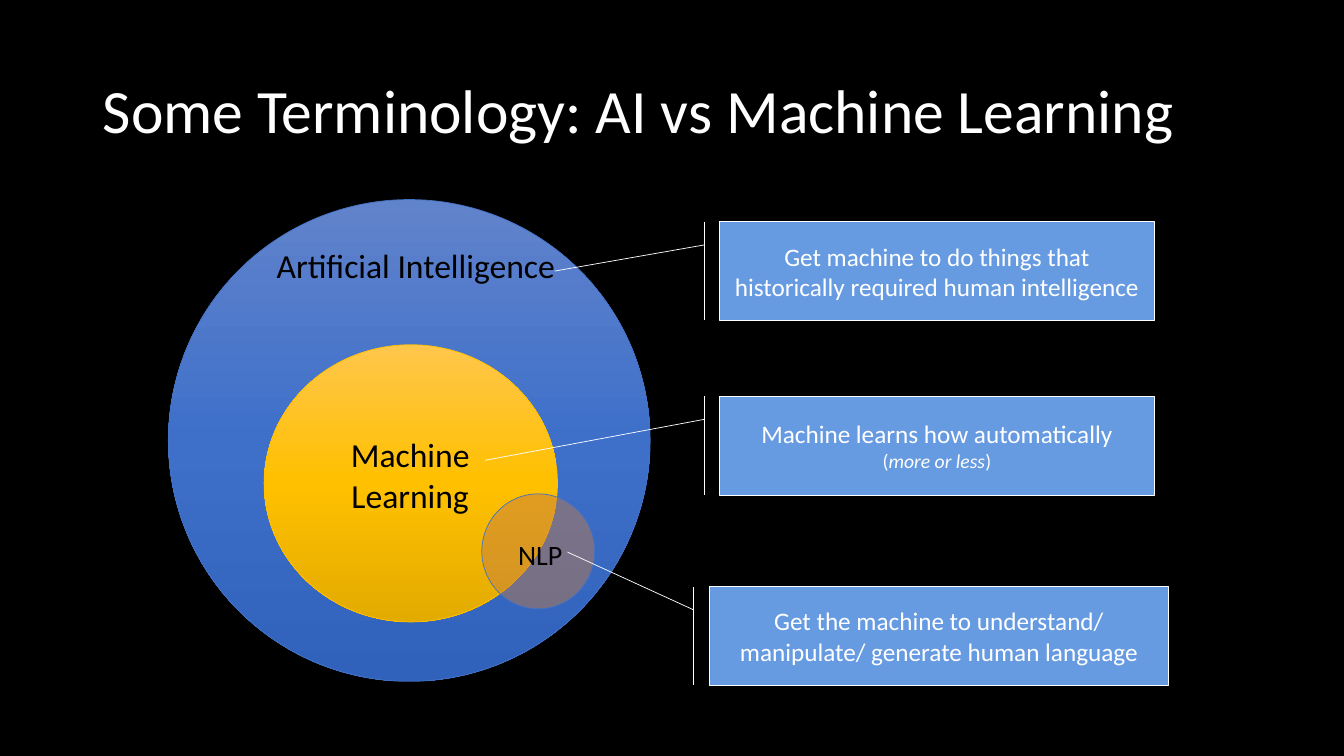
import copy
from dataclasses import dataclass

import pptx
import pptx.dml.color
import pptx.enum.shapes
import pptx.enum.text
import pptx.oxml.ns
import pptx.util
from pptx.enum.shapes import MSO_SHAPE
from pptx.enum.text import MSO_ANCHOR, MSO_AUTO_SIZE, PP_ALIGN

SLIDE_WIDTH = pptx.util.Inches(13.33)
SLIDE_HEIGHT = pptx.util.Inches(7.5)
FONT = "Calibri"
BLACK, WHITE, BLUE, GOLD = "000000", "FFFFFF", "4472C4", "FFC000"
CALLOUT_BLUE, NLP_BROWN = "669BE2", "C17945"


@dataclass(frozen=True)
class Area:
    left: float
    top: float
    width: float
    height: float

    def emu(self) -> tuple[int, int, int, int]:
        return (
            int(SLIDE_WIDTH * self.left / 100),
            int(SLIDE_HEIGHT * self.top / 100),
            int(SLIDE_WIDTH * self.width / 100),
            int(SLIDE_HEIGHT * self.height / 100),
        )


@dataclass(frozen=True)
class Words:
    text: str
    size: int
    italic: bool = False


Lines = tuple[tuple[Words, ...], ...]


@dataclass(frozen=True)
class Field:
    circle: Area
    label: Area
    lines: Lines
    colors: tuple[str, ...]
    outline: str
    opacity: int = 100


@dataclass(frozen=True)
class Definition:
    area: Area
    pointer_y: float
    pointer_x: float
    lines: Lines


FIELDS = (
    Field(Area(12.53, 26.4, 35.85, 63.73), Area(18.3, 31.73, 25.28, 6.67),
          ((Words("Artificial Intelligence", 24),),),
          ("6183CB", "3E70CA", "3062BB"), BLUE),
    Field(Area(19.65, 45.6, 21.83, 36.67), Area(18.75, 56.8, 23.55, 12.13),
          ((Words("Machine", 24),), (Words("Learning", 24),)),
          ("FFC64B", GOLD, "E3AB00"), GOLD),
    Field(Area(35.85, 65.33, 8.4, 15.2), Area(36.3, 70.4, 7.8, 5.87),
          ((Words("NLP", 20),),), (NLP_BROWN,), BLUE, 48),
)

DEFINITIONS = (
    Definition(Area(53.55, 29.33, 32.33, 13.07), 0.5, -0.38,
               ((Words("Get machine to do things that historically required human intelligence", 18),),)),
    Definition(Area(53.55, 52.4, 32.33, 13.07), 0.65, -0.54,
               ((Words("Machine learns how automatically", 18),),
                (Words("(", 14), Words("more or less", 14, True), Words(")", 14)))),
    Definition(Area(52.8, 77.6, 34.13, 13.07), -0.35, -0.31,
               ((Words("Get the machine to understand/ manipulate/ generate human language", 18),),)),
)


def rgb(value: str) -> pptx.dml.color.RGBColor:
    return pptx.dml.color.RGBColor.from_string(value)


def write(frame, lines: Lines, color: str, align: PP_ALIGN = PP_ALIGN.CENTER) -> None:
    frame.word_wrap = True
    paragraph = frame.paragraphs[0]
    paragraph.alignment = align
    for number, line in enumerate(lines):
        if number:
            paragraph.add_line_break()
        for words in line:
            run = paragraph.add_run()
            run.text = words.text
            run.font.name = FONT
            run.font.size = pptx.util.Pt(words.size)
            run.font.italic = words.italic
            run.font.color.rgb = rgb(color)


def add_outlined(slide, kind: MSO_SHAPE, area: Area, outline: str):
    outlined = slide.shapes.add_shape(kind, *area.emu())
    outlined.shadow.inherit = False
    outlined.line.color.rgb = rgb(outline)
    outlined.line.width = pptx.util.Pt(0.5)
    return outlined


def fill_solid(shape, color: str, opacity: int = 100) -> None:
    shape.fill.solid()
    shape.fill.fore_color.rgb = rgb(color)
    if opacity < 100:
        tint = shape.fill._xPr.find(".//" + pptx.oxml.ns.qn("a:srgbClr"))
        alpha = pptx.oxml.parse_xml(
            f'<a:alpha {pptx.oxml.ns.nsdecls("a")} val="{opacity * 1000}"/>')
        tint.append(alpha)


def fill_gradient(shape, colors: tuple[str, ...]) -> None:
    shape.fill.gradient()
    shape.fill.gradient_angle = 270
    stop_list = shape.fill._xPr.find(".//" + pptx.oxml.ns.qn("a:gsLst"))
    while len(stop_list) < len(colors):
        stop_list.append(copy.deepcopy(stop_list[0]))
    for number, (stop, color) in enumerate(zip(shape.fill.gradient_stops, colors)):
        stop.position = number / (len(colors) - 1)
        stop.color.rgb = rgb(color)


def add_title(slide, text: str) -> None:
    title = slide.shapes.title
    title.left, title.top, title.width, title.height = Area(6.9, 5.33, 86.25, 19.33).emu()
    title.text_frame.auto_size = MSO_AUTO_SIZE.NONE
    title.text_frame.vertical_anchor = MSO_ANCHOR.MIDDLE
    write(title.text_frame, ((Words(text, 44),),), WHITE, PP_ALIGN.LEFT)
    title.text_frame.paragraphs[0].line_spacing = 0.9


def add_field(slide, field: Field) -> None:
    circle = add_outlined(slide, MSO_SHAPE.OVAL, field.circle, field.outline)
    if len(field.colors) > 1:
        fill_gradient(circle, field.colors)
    else:
        fill_solid(circle, field.colors[0], field.opacity)
    label = slide.shapes.add_textbox(*field.label.emu())
    write(label.text_frame, field.lines, BLACK)
    label.text_frame.auto_size = MSO_AUTO_SIZE.SHAPE_TO_FIT_TEXT


def add_definition(slide, definition: Definition) -> None:
    callout = add_outlined(slide, MSO_SHAPE.LINE_CALLOUT_1_BORDER_AND_ACCENT_BAR,
                           definition.area, WHITE)
    fill_solid(callout, CALLOUT_BLUE)
    pointer = (0.235, -0.035, definition.pointer_y, definition.pointer_x)
    for number, share in enumerate(pointer):
        callout.adjustments[number] = share
    callout.text_frame.vertical_anchor = MSO_ANCHOR.MIDDLE
    write(callout.text_frame, definition.lines, WHITE)


def main() -> None:
    deck = pptx.Presentation()
    deck.slide_width, deck.slide_height = SLIDE_WIDTH, SLIDE_HEIGHT
    slide = deck.slides.add_slide(deck.slide_layouts.get_by_name("Title Only"))
    slide.background.fill.solid()
    slide.background.fill.fore_color.rgb = rgb(BLACK)
    add_title(slide, "Some Terminology: AI vs Machine Learning")
    for field in FIELDS:
        add_field(slide, field)
    for definition in DEFINITIONS:
        add_definition(slide, definition)
    deck.save("out.pptx")


if __name__ == "__main__":
    main()
